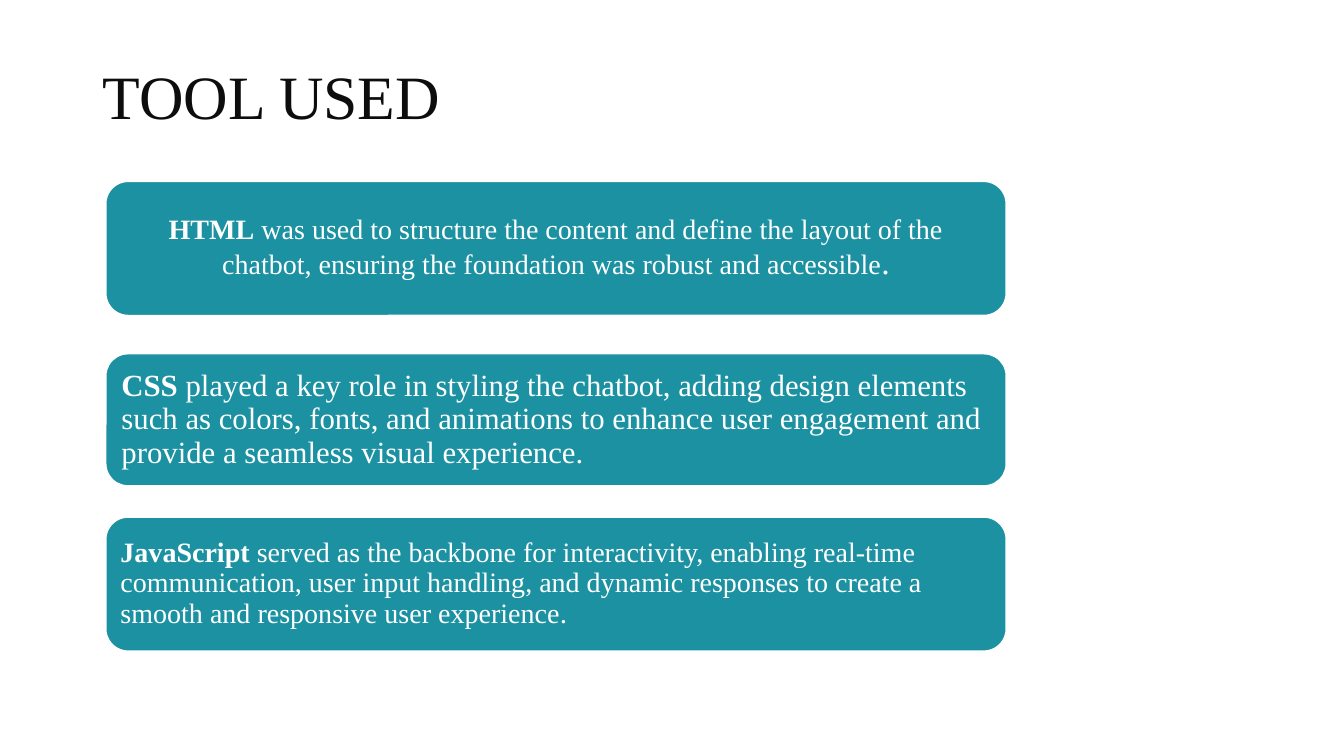
import pptx
import pptx.dml.color
import pptx.enum.shapes
import pptx.enum.text
import pptx.util

Inches = pptx.util.Inches
Pt = pptx.util.Pt
ALIGN = pptx.enum.text.PP_ALIGN
ANCHOR = pptx.enum.text.MSO_ANCHOR
FONT = "Times New Roman"
TEAL = "1B91A1"
WHITE = "FFFFFF"
INK = "0D0D0D"


def rgb(value):
    return pptx.dml.color.RGBColor.from_string(value)


def add_text(s, left, top, width, height, inset, anchor, align, color, runs):
    tf = s.shapes.add_textbox(Inches(left), Inches(top), Inches(width), Inches(height)).text_frame
    tf.word_wrap = True
    tf.vertical_anchor = anchor
    tf.margin_left = tf.margin_right = Inches(inset[0])
    tf.margin_top = tf.margin_bottom = Inches(inset[1])
    p = tf.paragraphs[0]
    p.alignment = align
    p.line_spacing = 0.9
    for text, size, bold in runs:
        r = p.add_run()
        r.text = text
        r.font.name = FONT
        r.font.size = Pt(size)
        r.font.bold = bold
        r.font.color.rgb = rgb(color)


prs = pptx.Presentation()
prs.slide_width = Inches(13.33)
prs.slide_height = Inches(7.5)
s = prs.slides.add_slide(prs.slide_layouts[6])
s.background.fill.solid()
s.background.fill.fore_color.rgb = rgb(WHITE)

add_text(s, 0.92, -0.2, 11.31, 1.57, (0.1, 0.05), ANCHOR.BOTTOM, ALIGN.LEFT, INK,
         [("TOOL USED", 44, False)])

tools = [
    (1.8, 1.33, 0.08, ALIGN.CENTER, [
        ("HTML", 20, True),
        (" was used to structure the content and define the layout of the chatbot, "
         "ensuring the foundation was robust and accessible", 20, False),
        (".", 24, False)]),
    (3.51, 1.31, 0.09, ALIGN.LEFT, [
        ("CSS", 22, True),
        (" played a key role in styling the chatbot, adding design elements such as colors, "
         "fonts, and animations to enhance user engagement and provide a seamless visual "
         "experience.", 22, False)]),
    (5.13, 1.33, 0.08, ALIGN.LEFT, [
        ("JavaScript", 20, True),
        (" served as the backbone for interactivity, enabling real-time communication, "
         "user input handling, and dynamic responses to create a smooth and responsive "
         "user experience", 20, False),
        (".", 21, False)]),
]
left, width, pad = 1.05, 8.93, 0.065

for top, height, inset, align, runs in tools:
    sp = s.shapes.add_shape(pptx.enum.shapes.MSO_SHAPE.ROUNDED_RECTANGLE,
                            Inches(left), Inches(top), Inches(width), Inches(height))
    sp.shadow.inherit = False
    sp.fill.solid()
    sp.fill.fore_color.rgb = rgb(TEAL)
    sp.line.color.rgb = rgb(WHITE)
    sp.line.width = Pt(1)
    add_text(s, left + pad, top + pad, width - 2 * pad, height - 2 * pad,
             (inset, inset), ANCHOR.MIDDLE, align, WHITE, runs)

prs.save("out.pptx")
